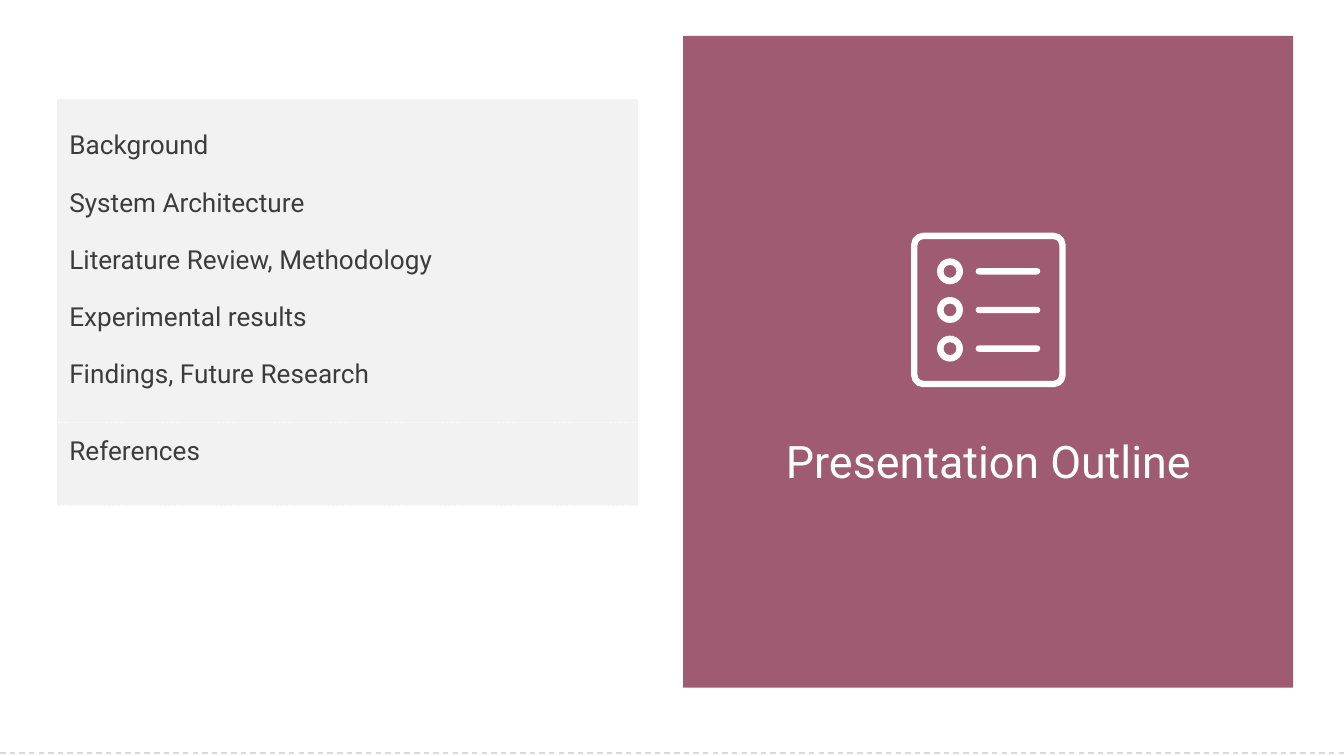
from dataclasses import dataclass

from lxml.etree import SubElement
from pptx import Presentation
from pptx.dml.color import RGBColor
from pptx.enum.dml import MSO_LINE
from pptx.enum.shapes import MSO_CONNECTOR, MSO_SHAPE
from pptx.enum.text import MSO_ANCHOR, MSO_AUTO_SIZE, PP_ALIGN
from pptx.oxml import parse_xml
from pptx.oxml.ns import nsdecls, qn
from pptx.util import Cm, Pt


@dataclass(frozen=True)
class Theme:
    font: str = "Roboto"
    accent: str = "9F5B72"
    panel: str = "F2F2F2"
    ink: str = "3C3C3C"
    white: str = "FFFFFF"
    rule: str = "D9D9D9"
    title_size: float = 24
    topic_size: float = 14
    topic_gap: float = 14.1


def apply_format(target, values):
    for attribute, value in values.items():
        setattr(target, attribute, value)


class SlideBuilder:
    def __init__(self, slide, theme):
        self.slide = slide
        self.theme = theme

    def paint(self, fill, color):
        fill.solid()
        fill.fore_color.rgb = RGBColor.from_string(color)

    def style_font(self, font, size, color):
        apply_format(font, {"name": self.theme.font, "size": Pt(size), "bold": False})
        font.color.rgb = RGBColor.from_string(color)

    def shape(self, kind, left, top, width, height, color, stroke=None, adjust=None):
        shape = self.slide.shapes.add_shape(
            kind, Cm(left), Cm(top), Cm(width), Cm(height)
        )
        shape.shadow.inherit = False
        if adjust is not None:
            shape.adjustments[0] = adjust
        if stroke:
            shape.fill.background()
            self.paint(shape.line.fill, color)
            shape.line.width = Cm(stroke)
        else:
            self.paint(shape.fill, color)
            shape.line.fill.background()

    def dashed_rule(self, top, width):
        rule = self.slide.shapes.add_connector(
            MSO_CONNECTOR.STRAIGHT, Cm(0), Cm(top), Cm(width), Cm(top)
        )
        self.paint(rule.line.fill, self.theme.rule)
        apply_format(rule.line, {"width": Pt(0.75), "dash_style": MSO_LINE.DASH})
        SubElement(rule._element.spPr, qn("a:effectLst"))

    def title(self, text, left, top, width, height):
        title = self.slide.shapes.title
        apply_format(title, {
            "left": Cm(left), "top": Cm(top), "width": Cm(width), "height": Cm(height),
        })
        frame = title.text_frame
        apply_format(frame, {
            "text": text, "word_wrap": True, "auto_size": MSO_AUTO_SIZE.NONE,
            "vertical_anchor": MSO_ANCHOR.MIDDLE,
            "margin_left": 0, "margin_right": 0, "margin_top": 0, "margin_bottom": 0,
        })
        heading = frame.paragraphs[0]
        heading.alignment = PP_ALIGN.CENTER
        self.style_font(heading.runs[0].font, self.theme.title_size, self.theme.white)
        self.slide.shapes._spTree.append(title._element)

    def dotted_border(self, cell, side):
        border = parse_xml(
            f'<a:{side} {nsdecls("a")} w="12700"><a:solidFill>'
            f'<a:srgbClr val="{self.theme.white}"/></a:solidFill>'
            f'<a:prstDash val="sysDot"/></a:{side}>'
        )
        cell._tc.get_or_add_tcPr().insert(0, border)

    def topic_table(self, sections, left, top, width, heights):
        table = self.slide.shapes.add_table(
            len(sections), 1, Cm(left), Cm(top), Cm(width), Cm(sum(heights))
        ).table
        apply_format(table, {"first_row": False, "horz_banding": False})
        for index, (topics, anchor) in enumerate(sections):
            table.rows[index].height = Cm(heights[index])
            cell = table.cell(index, 0)
            self.paint(cell.fill, self.theme.panel)
            self.dotted_border(cell, "lnB")
            if index:
                self.dotted_border(cell, "lnT")
            inset = Cm(0.25)
            apply_format(cell, {
                "text": "\n".join(topics), "vertical_anchor": anchor,
                "margin_left": inset, "margin_right": inset,
                "margin_top": inset, "margin_bottom": inset,
            })
            for position, topic in enumerate(cell.text_frame.paragraphs):
                topic.space_before = Pt(self.theme.topic_gap if position else 0)
                self.style_font(
                    topic.runs[0].font, self.theme.topic_size, self.theme.ink
                )

    def checklist_icon(self, left, top):
        stroke, side, ring, pitch = 0.12, 2.92, 0.49, 0.73
        white = self.theme.white
        self.shape(
            MSO_SHAPE.ROUNDED_RECTANGLE, left + stroke / 2, top + stroke / 2,
            side - stroke, side - stroke, white, stroke=stroke, adjust=0.06,
        )
        for row in range(3):
            ring_top = top + side / 2 - ring / 2 + (row - 1) * pitch
            self.shape(
                MSO_SHAPE.DONUT, left + ring, ring_top, ring, ring, white, adjust=0.25
            )
            self.shape(
                MSO_SHAPE.ROUNDED_RECTANGLE, left + 1.22,
                ring_top + (ring - stroke) / 2, 1.22, stroke, white, adjust=0.5,
            )


def main():
    theme = Theme()
    presentation = Presentation()
    apply_format(presentation, {"slide_width": Cm(25.4), "slide_height": Cm(14.29)})
    slide = presentation.slides.add_slide(presentation.slide_layouts[5])
    builder = SlideBuilder(slide, theme)

    builder.dashed_rule(14.23, 25.4)
    builder.shape(MSO_SHAPE.RECTANGLE, 12.91, 0.68, 11.53, 12.32, theme.accent)
    main_topics = [
        "Background",
        "System Architecture",
        "Literature Review, Methodology",
        "Experimental results",
        "Findings, Future Research",
    ]
    sections = [(main_topics, MSO_ANCHOR.MIDDLE), (["References"], MSO_ANCHOR.TOP)]
    builder.topic_table(sections, 1.06, 1.85, 11.01, [6.14, 1.57])
    builder.checklist_icon(17.22, 4.4)
    builder.title("Presentation Outline", 14.02, 8.2, 9.32, 1.02)

    presentation.save("out.pptx")


if __name__ == "__main__":
    main()
